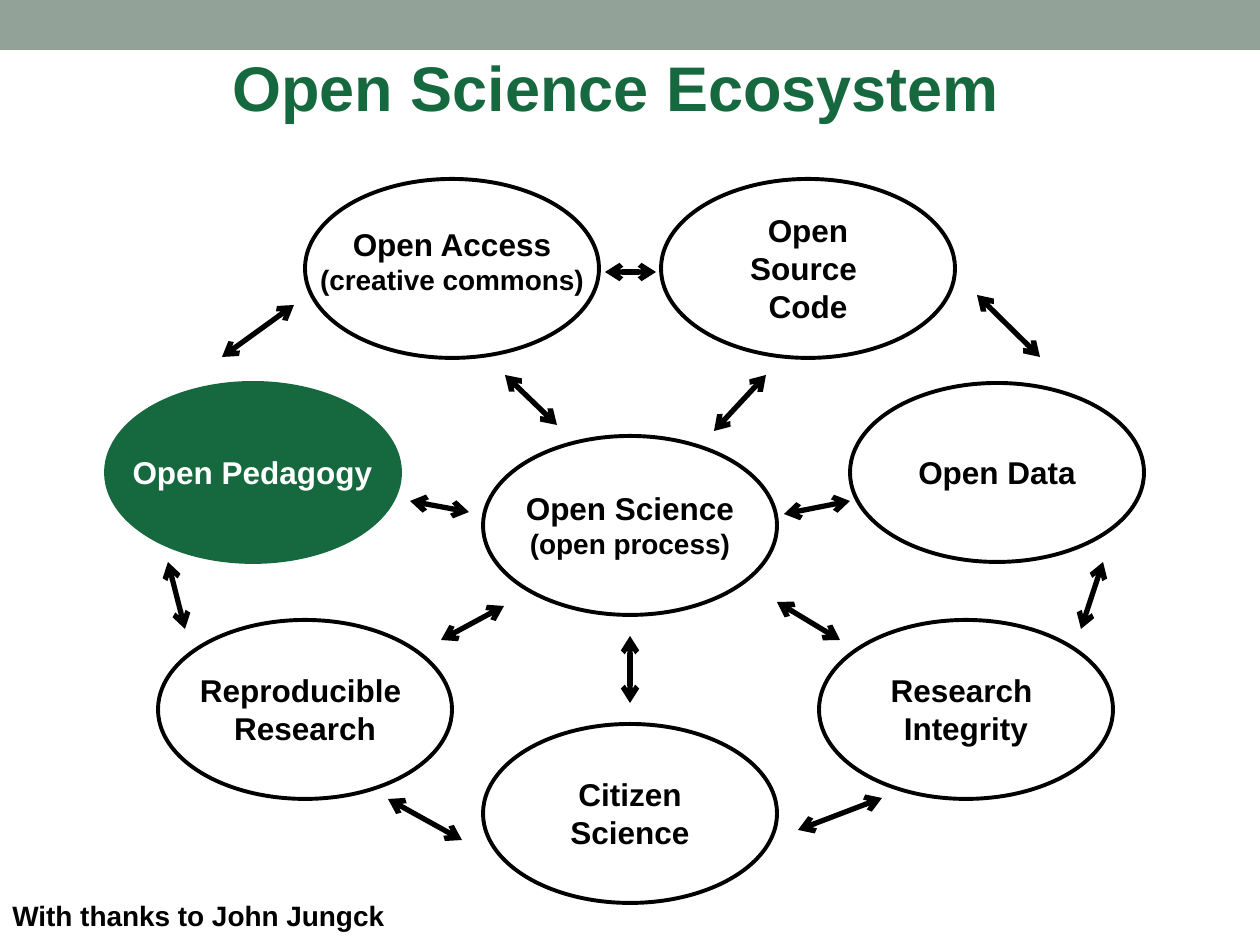
from dataclasses import dataclass

from lxml import etree
from pptx import Presentation
from pptx.dml.color import RGBColor
from pptx.enum.shapes import MSO_CONNECTOR, MSO_SHAPE
from pptx.enum.text import MSO_AUTO_SIZE, PP_ALIGN
from pptx.oxml.ns import qn
from pptx.util import Emu, Pt

ELLIPSE, RECT = MSO_SHAPE.OVAL, MSO_SHAPE.RECTANGLE
STRAIGHT = MSO_CONNECTOR.STRAIGHT
LEFT, CENTER = PP_ALIGN.LEFT, PP_ALIGN.CENTER
FIT_SHAPE = MSO_AUTO_SIZE.SHAPE_TO_FIT_TEXT

PX_PER_INCH = 126
NODE_W, NODE_H = 294, 179
LINE_HEIGHTS = {18: 38, 16: 34}
BOX_MARGINS = 12


@dataclass(frozen=True)
class Theme:
    font: str = "Arial"
    band: RGBColor = RGBColor(0x93, 0xA2, 0x99)
    green: RGBColor = RGBColor(0x16, 0x69, 0x3F)
    black: RGBColor = RGBColor(0, 0, 0)
    white: RGBColor = RGBColor(255, 255, 255)
    title: int = 36
    label: int = 18
    small: int = 16
    outline: float = 2.25
    arrow: float = 3


THEME = Theme()

# left, top, lines, text box width, upward shift of the label
NODES = [
    (483, 436, ["Open Science", "(open process)"], 236, 0),
    (483, 724, ["Citizen", "Science"], 146, 0),
    (661, 179, ["Open", "Source ", "Code"], 142, 0),
    (305, 179, ["Open Access", "(creative commons)"], 292, 7),
    (158, 620, ["Reproducible ", "Research"], 238, 0),
    (819, 620, ["Research ", "Integrity"], 178, 0),
    (850, 383, ["Open Data"], 184, 0),
]
PEDAGOGY = (106, 383, ["Open Pedagogy"], 267, 0)

ARROWS = [
    (294, 305, 222, 357), (882, 798, 798, 830), (977, 295, 1040, 357),
    (388, 799, 462, 840), (1103, 562, 1081, 629), (168, 562, 185, 629),
    (777, 602, 840, 640), (505, 375, 557, 425), (714, 431, 766, 375),
    (441, 640, 504, 606), (605, 272, 656, 272), (630, 636, 630, 703),
    (410, 501, 469, 512), (784, 514, 850, 501),
]


def px(*values):
    return [Emu(round(v * 914400 / PX_PER_INCH)) for v in values]


def add_text(s, box, lines, sizes, color=THEME.black, align=LEFT):
    tf = s.shapes.add_textbox(*px(*box)).text_frame
    tf.word_wrap = False
    tf.auto_size = FIT_SHAPE
    for i, (line, size) in enumerate(zip(lines, sizes)):
        p = tf.add_paragraph() if i else tf.paragraphs[0]
        p.alignment = align
        r = p.add_run()
        r.text = line
        r.font.name = THEME.font
        r.font.size = Pt(size)
        r.font.bold = True
        r.font.color.rgb = color


def add_shape(s, kind, box, fill=None, line=None):
    sp = s.shapes.add_shape(kind, *px(*box))
    sp.shadow.inherit = False
    if fill is None:
        sp.fill.background()
    else:
        sp.fill.solid()
        sp.fill.fore_color.rgb = fill
    if line is None:
        sp.line.fill.background()
    else:
        sp.line.color.rgb = line
        sp.line.width = Pt(THEME.outline)


def add_node(s, left, top, lines, width, shift, fill=None,
             line=THEME.black, color=THEME.black):
    """Draw an ellipse with its label centred; bracketed lines are smaller."""
    add_shape(s, ELLIPSE, (left, top, NODE_W, NODE_H), fill, line)
    sizes = [THEME.small if t.startswith("(") else THEME.label for t in lines]
    height = BOX_MARGINS + sum(LINE_HEIGHTS[size] for size in sizes)
    box = (left + (NODE_W - width) // 2,
           top + (NODE_H - height) // 2 - shift, width, height)
    add_text(s, box, lines, sizes, color, CENTER)


def add_double_arrow(s, *ends):
    c = s.shapes.add_connector(STRAIGHT, *px(*ends))
    c.line.color.rgb = THEME.black
    c.line.width = Pt(THEME.arrow)
    ln = c.line._get_or_add_ln()
    for end in ("a:headEnd", "a:tailEnd"):
        etree.SubElement(ln, qn(end), type="arrow")
    etree.SubElement(c._element.spPr, qn("a:effectLst"))


def main():
    prs = Presentation()
    prs.slide_width, prs.slide_height = px(1260, 945)
    s = prs.slides.add_slide(prs.slide_layouts[6])
    add_shape(s, RECT, (0, 0, 1260, 50), fill=THEME.band)
    for node in NODES:
        add_node(s, *node)
    add_node(s, *PEDAGOGY, fill=THEME.green, line=THEME.green,
             color=THEME.white)
    for arrow in ARROWS:
        add_double_arrow(s, *arrow)
    add_text(s, (220, 42, 800, 89), ["Open Science Ecosystem"],
             [THEME.title], THEME.green)
    add_text(s, (0, 892, 402, 47), ["With thanks to John Jungck"],
             [THEME.small])
    prs.save("out.pptx")


if __name__ == "__main__":
    main()
